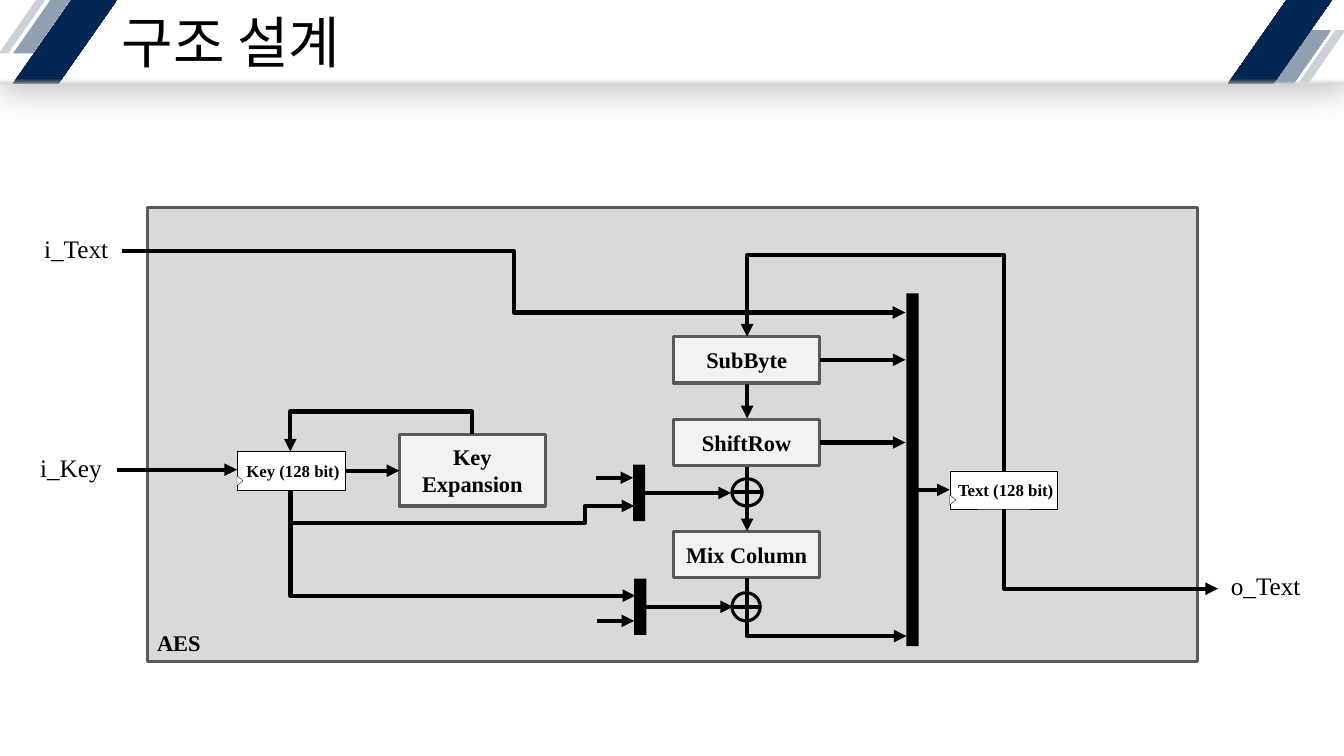
"""Build the AES structure slide with its banner, blocks and wires."""
import pptx
import pptx.util
import pptx.dml.color
import pptx.enum.shapes
import pptx.enum.text
import pptx.oxml
import pptx.oxml.ns

Inches, Pt = pptx.util.Inches, pptx.util.Pt
KIND = pptx.enum.shapes.MSO_SHAPE
LINK = pptx.enum.shapes.MSO_CONNECTOR
ALIGN = pptx.enum.text.PP_ALIGN
ANCHOR = pptx.enum.text.MSO_ANCHOR
FIT = pptx.enum.text.MSO_AUTO_SIZE
NS = pptx.oxml.ns.nsdecls("a")
FONT = "Times New Roman"
BLACK, WHITE, GRAY, EDGE, PALE = "000000", "FFFFFF", "D9D9D9", "595959", "F2F2F2"

TITLE = "구조 설계"
BAR = (0, 0, 13.33, 0.83)
STRIPES = [
    ((0.13, 0, 0.57, 0.53), 0.7, "909FB1", None),
    ((0.13, 0, 1.03, 0.83), 0.7, "022653", "808080"),
    ((-0.01, 0, 0.46, 0.53), 0.8, "CAD1D9", None),
    ((12.63, 0.3, 0.57, 0.53), 0.7, "909FB1", "BFBFBF"),
    ((12.18, 0, 1.03, 0.83), 0.7, "022653", "808080"),
    ((12.88, 0.3, 0.46, 0.53), 0.8, "CAD1D9", GRAY),
]
FRAME = ("AES", (1.46, 2.06, 10.42, 4.5))
STEPS = [
    ("SubByte", (6.68, 3.34, 1.45, 0.46)),
    ("ShiftRow", (6.68, 4.16, 1.45, 0.46)),
    ("Mix Column", (6.68, 5.27, 1.45, 0.46)),
    ("Key Expansion", (3.96, 4.31, 1.45, 0.71)),
]
STORES = [("Text (128 bit)", 9.42, 4.67), ("Key (128 bit)", 2.35, 4.48)]
MUXES = [(8.99, 2.91, 0.12, 3.5), (6.29, 5.74, 0.12, 0.56), (6.28, 4.61, 0.12, 0.56)]
RINGS = [(7.26, 5.88, 0.28, 0.28), (7.26, 4.75, 0.3, 0.27)]
ARROWS = [
    (9.1, 4.86, 9.42, 4.86), (7.41, 3.81, 7.41, 4.15), (1.16, 4.66, 2.35, 4.66),
    (3.42, 4.67, 3.96, 4.67), (7.41, 4.63, 7.41, 5.27), (5.92, 6.16, 6.29, 6.16),
    (5.91, 4.74, 6.28, 4.74), (6.4, 4.89, 7.25, 4.89), (6.41, 6.02, 7.27, 6.02),
    (8.13, 4.39, 8.98, 4.39), (8.13, 3.57, 8.98, 3.57),
]
ACROSS = [((1.21, 2.49, 8.98, 3.1), 0.5), ((2.88, 5.19, 6.29, 5.02), 0.856)]
UPDOWN = [
    ((9.96, 4.67, 7.41, 3.34), 1.607), ((4.68, 4.31, 2.88, 4.48), -1.333),
    ((9.96, 5.05, 12.08, 5.84), None), ((2.88, 4.86, 6.3, 5.91), None),
    ((7.41, 5.73, 8.99, 6.31), None),
]
PORTS = [
    ("i_Text", (0.34, 2.27, 0.84, 0.4)),
    ("i_Key", (0.3, 4.44, 0.82, 0.4)),
    ("o_Text", (12.11, 5.61, 0.9, 0.4)),
]


def color(code):
    return pptx.dml.color.RGBColor.from_string(code)


def block(kind, box, fill=None, edge=None, width=0):
    part = slide.shapes.add_shape(kind, *map(Inches, box))
    part.shadow.inherit = False
    if fill:
        part.fill.solid()
        part.fill.fore_color.rgb = color(fill)
    else:
        part.fill.background()
    if edge:
        part.line.color.rgb = color(edge)
        part.line.width = Pt(width)
    else:
        part.line.fill.background()
    return part


def write(part, text, size, bold=False, align=ALIGN.CENTER):
    frame = part.text_frame
    frame.text = text
    para = frame.paragraphs[0]
    para.alignment = align
    font = para.runs[0].font
    font.name, font.size, font.bold = FONT, Pt(size), bold
    font.color.rgb = color(BLACK)
    return frame


def fade(part, low, main):
    stops = "".join(
        f'<a:gs pos="{pos}000"><a:srgbClr val="{code}"/></a:gs>'
        for pos, code in ((0, low), (6, main), (100, main)))
    grad = pptx.oxml.parse_xml(
        f'<a:gradFill {NS} rotWithShape="1"><a:gsLst>{stops}</a:gsLst>'
        '<a:lin ang="16200000" scaled="0"/></a:gradFill>')
    props = part.element.spPr
    old = props.find(pptx.oxml.ns.qn("a:solidFill"))
    props.replace(old, grad)


def wire(ends, kind=LINK.STRAIGHT, arrow=True):
    link = slide.shapes.add_connector(kind, *map(Inches, ends))
    link.line.color.rgb = color(BLACK)
    link.line.width = Pt(3)
    if arrow:
        link.line._get_or_add_ln().append(
            pptx.oxml.parse_xml(f'<a:tailEnd {NS} type="triangle"/>'))
    link.element.spPr.append(pptx.oxml.parse_xml(f"<a:effectLst {NS}/>"))
    return link


def bend(link, share):
    geom = link.element.spPr.find(pptx.oxml.ns.qn("a:prstGeom"))
    if share is None:
        geom.set("prst", "bentConnector2")
        return
    guide = pptx.oxml.parse_xml(
        f'<a:gd {NS} name="adj1" fmla="val {round(share * 100000)}"/>')
    geom.find(pptx.oxml.ns.qn("a:avLst")).append(guide)


def turn(ends):
    x1, y1, x2, y2 = ends
    midx, midy = (x1 + x2) / 2, (y1 + y2) / 2
    dx, dy = (x2 - x1) / 2, (y2 - y1) / 2
    link = wire((midx + dy, midy - dx, midx - dy, midy + dx), LINK.ELBOW)
    link.element.spPr.xfrm.set("rot", "16200000")
    return link


deck = pptx.Presentation()
deck.slide_width, deck.slide_height = Inches(13.33), Inches(7.5)
slide = deck.slides.add_slide(deck.slide_layouts[5])

bar = block(KIND.RECTANGLE, BAR, WHITE)
fade(bar, GRAY, WHITE)
glow = bar.element.spPr.find(pptx.oxml.ns.qn("a:effectLst"))
glow.append(pptx.oxml.parse_xml(
    f'<a:outerShdw {NS} blurRad="{Pt(24)}" dist="{Pt(3)}" dir="4800000" algn="t" '
    'rotWithShape="0"><a:srgbClr val="767171"><a:alpha val="50000"/></a:srgbClr>'
    '</a:outerShdw>'))
for box, slant, main, low in STRIPES:
    stripe = block(KIND.PARALLELOGRAM, box, main)
    stripe.adjustments[0] = slant
    if low:
        fade(stripe, low, main)

title = slide.shapes.title
title.left, title.top, title.width, title.height = map(Inches, (0.15, 0, 8.76, 0.83))
frame = write(title, TITLE, 40, align=ALIGN.LEFT)
frame.auto_size = FIT.NONE
frame.vertical_anchor = ANCHOR.MIDDLE
frame.margin_left = frame.margin_right = Inches(1.06)
frame.margin_top, frame.margin_bottom = Inches(0.12), Inches(0.04)
frame.paragraphs[0].line_spacing = 0.9
slide.shapes._spTree.append(title.element)

name, box = FRAME
frame = write(block(KIND.RECTANGLE, box, GRAY, EDGE, 2.25), name, 16, True, ALIGN.LEFT)
frame.vertical_anchor = ANCHOR.BOTTOM
for name, box in STEPS:
    write(block(KIND.RECTANGLE, box, PALE, EDGE, 2.25), name, 16, True)
for name, x, y in STORES:
    store = block(KIND.RECTANGLE, (x, y, 1.07, 0.38), WHITE, BLACK, 0.25)
    frame = write(store, name, 12, True)
    frame.word_wrap = False
    frame.margin_left = Inches(0.14)
    clock = block(KIND.ISOSCELES_TRIANGLE, (x - 0.02, y + 0.26, 0.1, 0.06),
                  WHITE, BLACK, 0.25)
    clock.rotation = 90
for box in MUXES:
    block(KIND.RECTANGLE, box, BLACK)
for x, y, w, h in RINGS:
    block(KIND.OVAL, (x, y, w, h), None, BLACK, 2.25)
    wire((x, y + h / 2, x + w, y + h / 2), arrow=False)

for ends in ARROWS:
    wire(ends)
for ends, share in ACROSS:
    bend(wire(ends, LINK.ELBOW), share)
for ends, share in UPDOWN:
    bend(turn(ends), share)

for name, box in PORTS:
    port = slide.shapes.add_textbox(*map(Inches, box))
    frame = write(port, name, 18, align=ALIGN.LEFT)
    frame.word_wrap = False
    frame.auto_size = FIT.SHAPE_TO_FIT_TEXT

deck.save("out.pptx")
